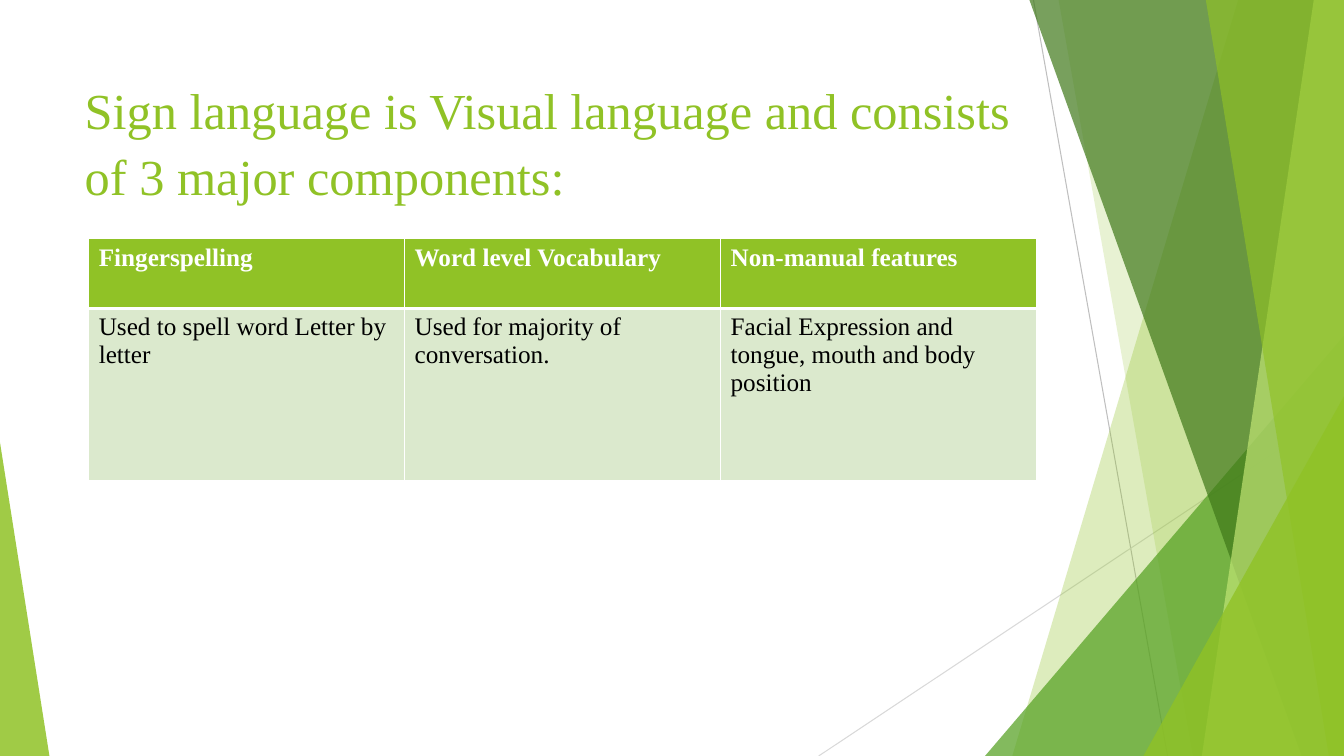
"""Builds a slide on the three components of sign language."""
from lxml.etree import SubElement
from pptx import Presentation
from pptx.dml.color import RGBColor
from pptx.enum.shapes import MSO_CONNECTOR, MSO_SHAPE
from pptx.enum.text import MSO_ANCHOR, MSO_AUTO_SIZE, PP_ALIGN
from pptx.oxml.ns import qn
from pptx.util import Inches, Pt

TITLE = "Sign language is Visual language and consists of 3 major components:"
COMPONENTS = [
    ("Fingerspelling", "Used to spell word Letter by letter"),
    ("Word level Vocabulary", "Used for majority of conversation."),
    ("Non-manual features", "Facial Expression and tongue, mouth and body position"),
]
THEME = {
    "font": "Times New Roman", "title": 36, "cell": 18,
    "lime": "90C226", "green": "54A021", "forest": "3F7819", "pale": "C0E474",
    "mint": "DBE9CD", "white": "FFFFFF", "black": "000000",
    "grey": "BFBFBF", "silver": "D9D9D9",
}
WIDTH, HEIGHT = 13.33, 7.5
LINES = [((10.25, 0), (11.58, HEIGHT), "grey"), ((WIDTH, 4.03), (8.12, HEIGHT), "silver")]
FACETS = [
    ("band", (12.28, 10.04), "lime", 30),
    ("band", (10.5, 11.83), "lime", 20),
    ("triangle", (9.77, 3.33, 3.56, 1), "green", 72),
    ("band", (10.21, 12.91), "forest", 70),
    ("band", (13.03, 11.92), "pale", 70),
    ("band", (11.96, 13.18), "lime", 65),
    ("triangle", (11.34, 3.93, 1.99, 1), "lime", 80),
    ("triangle", (0, 4.39, 0.49, 0), "lime", 85),
]
ROW_HEIGHTS = (0.69, 1.71)
ROW_STYLES = [
    {"fill": "lime", "color": "white", "bold": True, "borders": {"L": 1, "R": 1, "T": 1, "B": 3}},
    {"fill": "mint", "color": "black", "bold": False, "borders": {"L": 1, "R": 1, "T": 3, "B": 1}},
]


def rgb(name):
    """Return a theme colour."""
    return RGBColor.from_string(THEME[name])


def style_run(r, size, color, bold=False):
    """Apply the theme font to a run."""
    for key, value in {"name": THEME["font"], "size": Pt(THEME[size]), "bold": bold}.items():
        setattr(r.font, key, value)
    r.font.color.rgb = rgb(color)


def add_line(s, start, end, color):
    """Draw a thin line without a shadow."""
    line = s.shapes.add_connector(MSO_CONNECTOR.STRAIGHT, *map(Inches, start + end))
    line.line.color.rgb = rgb(color)
    line.line.width = Pt(0.75)
    SubElement(line._element.spPr, qn("a:effectLst"))


def add_facet(s, kind, geometry, color, opacity):
    """Draw a translucent band to the right edge, or a right triangle."""
    if kind == "band":
        top, bottom = geometry
        corners = [(WIDTH, 0), (WIDTH, HEIGHT), (bottom, HEIGHT)]
        builder = s.shapes.build_freeform(Inches(top), 0)
        builder.add_line_segments([(Inches(x), Inches(y)) for x, y in corners])
        sp = builder.convert_to_shape()
    else:
        left, top, width, apex = geometry
        sp = s.shapes.add_shape(MSO_SHAPE.ISOSCELES_TRIANGLE,
                                *map(Inches, (left, top, width, HEIGHT - top)))
        sp.adjustments[0] = apex
    sp.shadow.inherit = False
    sp.line.fill.background()
    sp.fill.solid()
    sp.fill.fore_color.rgb = rgb(color)
    clr = sp._element.spPr.find(qn("a:solidFill"))[0]
    SubElement(clr, qn("a:alpha"), val=str(opacity * 1000))


def fill_cell(cell, text, style):
    """Write and format one table cell."""
    r = cell.text_frame.paragraphs[0].add_run()
    r.text = text
    style_run(r, "cell", style["color"], style["bold"])
    tcPr = cell._tc.get_or_add_tcPr()
    for side, width in style["borders"].items():
        ln = SubElement(tcPr, qn("a:ln" + side), w=str(Pt(width)))
        SubElement(SubElement(ln, qn("a:solidFill")), qn("a:srgbClr"), val=THEME["white"])
    cell.fill.solid()
    cell.fill.fore_color.rgb = rgb(style["fill"])


def add_title(s):
    """Place and format the title."""
    title = s.shapes.title
    box = {"left": 0.74, "top": 0.67, "width": 9.4, "height": 1.44}
    for key, value in box.items():
        setattr(title, key, Inches(value))
    tf = title.text_frame
    frame = {"word_wrap": True, "auto_size": MSO_AUTO_SIZE.NONE,
             "vertical_anchor": MSO_ANCHOR.TOP}
    for key, value in frame.items():
        setattr(tf, key, value)
    p = tf.paragraphs[0]
    p.alignment = PP_ALIGN.LEFT
    p.line_spacing = 1.1
    r = p.add_run()
    r.text = TITLE
    style_run(r, "title", "lime")


def add_components(s):
    """Build the table, one column per component."""
    table = s.shapes.add_table(len(ROW_HEIGHTS), len(COMPONENTS),
                               *map(Inches, (0.88, 2.37, 9.4, sum(ROW_HEIGHTS)))).table
    for row, height in zip(table.rows, ROW_HEIGHTS):
        row.height = Inches(height)
    for col, texts in enumerate(COMPONENTS):
        for row, text in enumerate(texts):
            fill_cell(table.cell(row, col), text, ROW_STYLES[row])


prs = Presentation()
prs.slide_width, prs.slide_height = Inches(WIDTH), Inches(HEIGHT)
s = prs.slides.add_slide(prs.slide_layouts[5])
for line in LINES:
    add_line(s, *line)
for facet in FACETS:
    add_facet(s, *facet)
add_title(s)
add_components(s)
prs.save("out.pptx")
